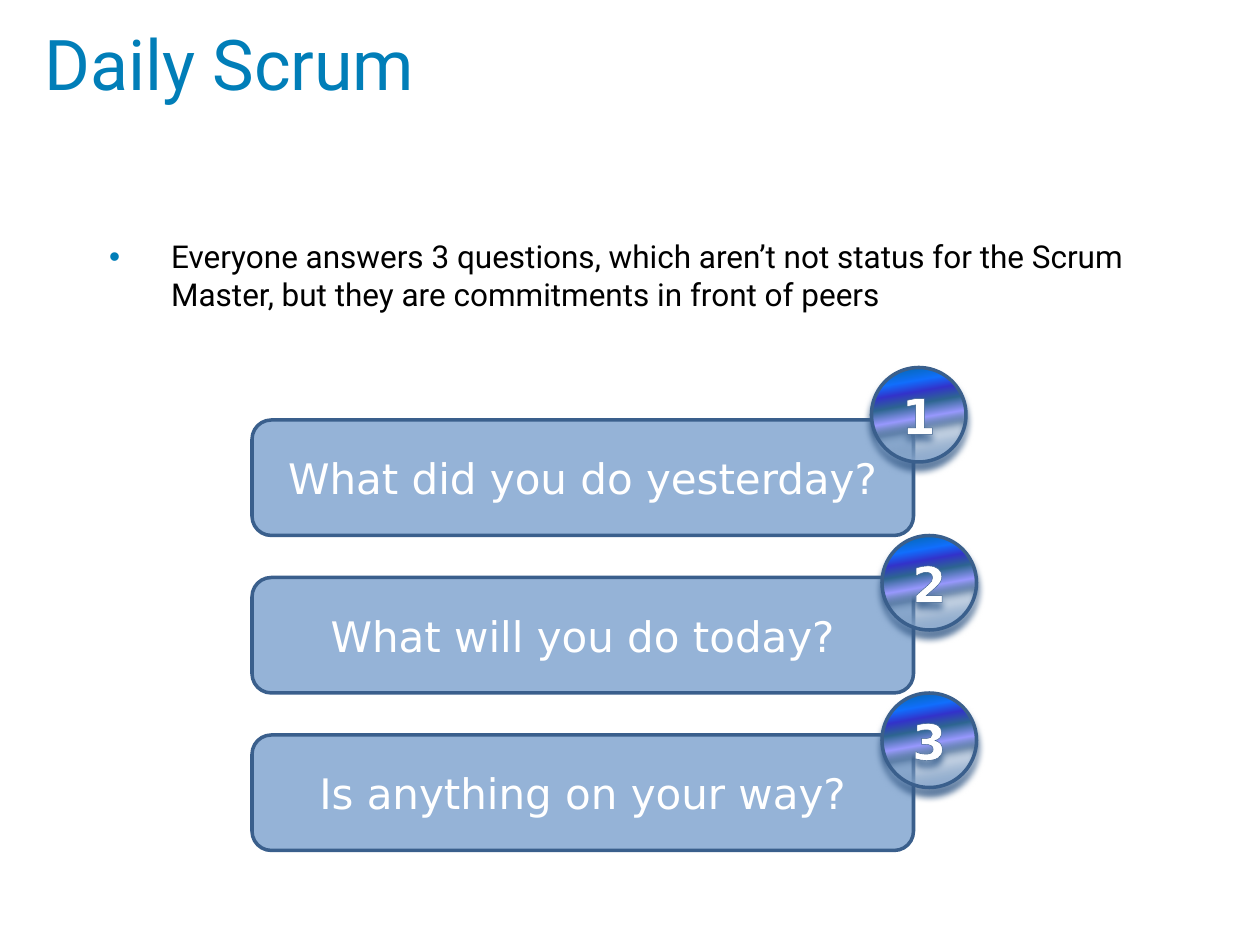
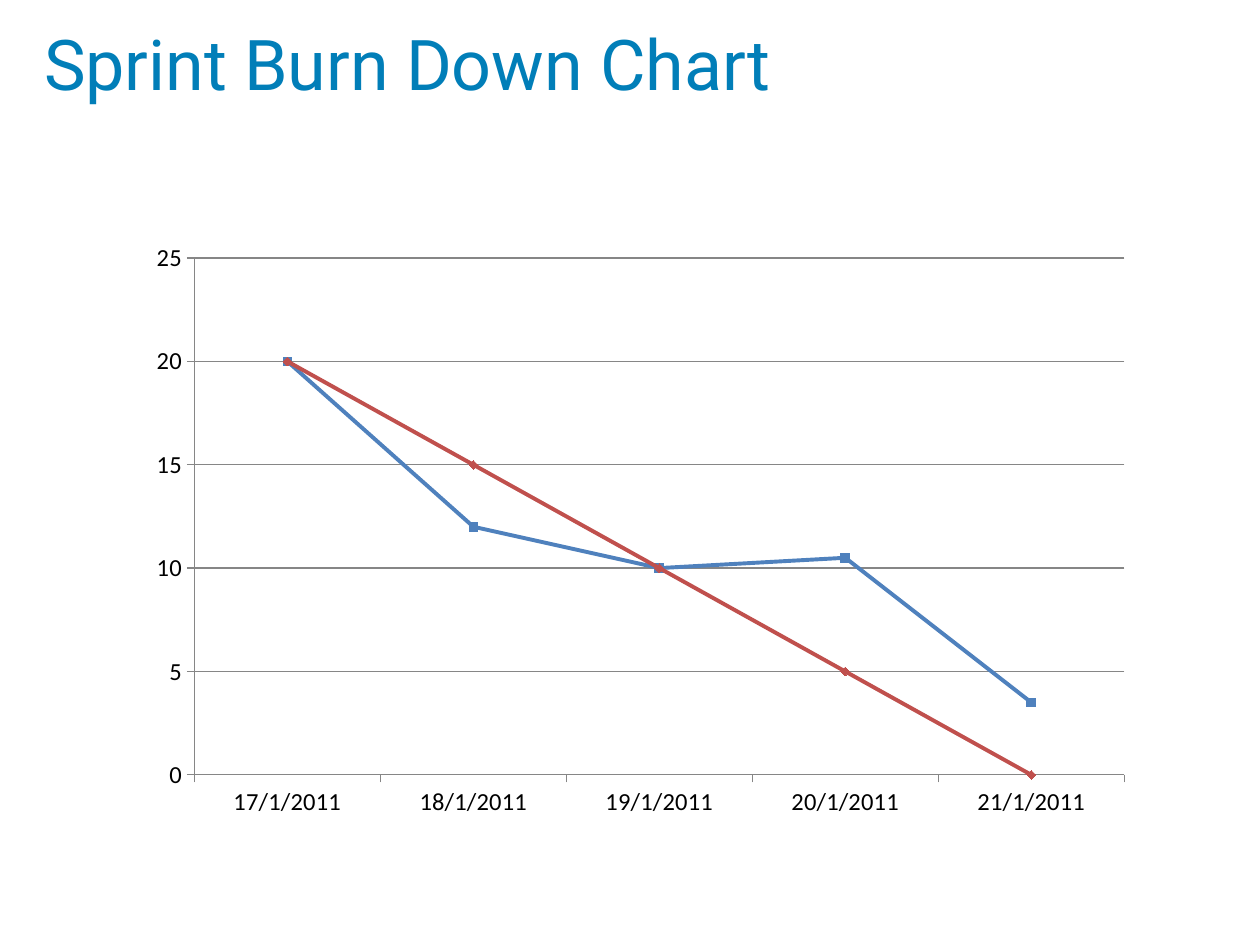
from dataclasses import dataclass

from lxml import etree
from pptx import Presentation
from pptx.chart.data import CategoryChartData
from pptx.dml.color import RGBColor
from pptx.enum.chart import XL_CHART_TYPE, XL_MARKER_STYLE, XL_TICK_MARK
from pptx.enum.shapes import MSO_SHAPE
from pptx.enum.text import MSO_ANCHOR, MSO_AUTO_SIZE, PP_ALIGN
from pptx.oxml import parse_xml
from pptx.oxml.ns import nsdecls, qn
from pptx.util import Pt

CARD, BADGE = MSO_SHAPE.FLOWCHART_ALTERNATE_PROCESS, MSO_SHAPE.OVAL
LEFT, CENTER = PP_ALIGN.LEFT, PP_ALIGN.CENTER
TOP, MIDDLE = MSO_ANCHOR.TOP, MSO_ANCHOR.MIDDLE
NO_AUTOFIT = MSO_AUTO_SIZE.NONE
LINE_MARKERS = XL_CHART_TYPE.LINE_MARKERS
SQUARE, DIAMOND = XL_MARKER_STYLE.SQUARE, XL_MARKER_STYLE.DIAMOND
TICK_OUTSIDE = XL_TICK_MARK.OUTSIDE

PX = 7620  # EMU, 120 px to the inch
TITLE_LAYOUT_AND_BODY, TITLE_ONLY = 1, 5


@dataclass(frozen=True)
class Theme:
    accent: str = "017EB8"
    ink: str = "000000"
    white: str = "FFFFFF"
    card: str = "95B3D7"
    outline: str = "3A5F8C"
    shadow: str = "385D8A"
    axis: str = "868686"
    text_font: str = "Roboto"
    shape_font: str = "DejaVu Sans"
    chart_font: str = "Calibri"
    title_size: int = 40
    body_size: int = 18
    card_size: int = 24
    badge_size: int = 28
    axis_size: int = 14
    outline_width: int = 2
    series_width: float = 2.25
    axis_width: float = 0.75


THEME = Theme()

# Content
SCRUM_TITLE = "Daily Scrum"
SCRUM_INTRO = (
    "Everyone answers 3 questions, which aren’t not status for the Scrum Master, "
    "but they are commitments in front of peers"
)
# question, left and top of its badge
QUESTIONS = [
    ("What did you do yesterday?", (830, 350)),
    ("What will you do today?", (840, 510)),
    ("Is anything on your way?", (840, 660)),
]
CHART_TITLE = "Sprint Burn Down Chart"
DAYS = [f"{day}/1/2011" for day in range(17, 22)]
SERIES = [
    ("Series 1", (20, 12, 10, 10.5, 3.5), "4F81BD", SQUARE),
    ("Series 2", (20, 15, 10, 5, 0), "C0504D", DIAMOND),
]

# position %, colour, opacity %
BADGE_STOPS = [
    (0, THEME.card, 100),
    (36, THEME.card, 14),
    (47, "9999FF", 100),
    (60, "2E6792", 100),
    (71, "3333CC", 100),
    (81, "1170FF", 100),
    (100, "006699", 100),
]
BADGE_ANGLE = 260

# Places: left, top, width, height in px
TITLE_BOX = (30, 0, 1080, 120)
INTRO_BOX = (60, 220, 1080, 110)
FIRST_CARD = (240, 400, 630, 110)
CARD_STEP = 150
BADGE_SIDE = 90
CHART_BOX = (130, 220, 960, 570)
BULLET_MARGIN, BULLET_INDENT = 91, -59


def emu(*lengths):
    return [length * PX for length in lengths]


def set_all(target, **values):
    for name, value in values.items():
        setattr(target, name, value)


def set_font(font, name, size, color, bold=False):
    set_all(font, name=name, size=Pt(size), bold=bold)
    font.color.rgb = RGBColor.from_string(color)


def place(shape, box):
    set_all(shape, **dict(zip(("left", "top", "width", "height"), emu(*box))))


def write(shape, text, anchor, align, **font):
    frame = shape.text_frame
    set_all(frame, word_wrap=True, auto_size=NO_AUTOFIT, vertical_anchor=anchor)
    para = frame.paragraphs[0]
    set_all(para, alignment=align, space_before=Pt(0))
    span = para.add_run()
    span.text = text
    set_font(span.font, **font)
    return para, span


def add_page(deck, layout, title):
    page = deck.slides.add_slide(deck.slide_layouts[layout])
    place(page.shapes.title, TITLE_BOX)
    write(page.shapes.title, title, MIDDLE, LEFT,
          name=THEME.text_font, size=THEME.title_size, color=THEME.accent)
    return page


def set_line(line, color, width):
    line.color.rgb = RGBColor.from_string(color)
    line.width = Pt(width)


def solid_xml(color):
    return f'<a:solidFill><a:srgbClr val="{color}"/></a:solidFill>'


def add_bullet(para, color):
    props = para._p.get_or_add_pPr()
    margin, indent = emu(BULLET_MARGIN, BULLET_INDENT)
    props.set("marL", str(margin))
    props.set("indent", str(indent))
    bullet_color = etree.SubElement(props, qn("a:buClr"))
    etree.SubElement(bullet_color, qn("a:srgbClr"), val=color)
    etree.SubElement(props, qn("a:buFont"), typeface="Arial")
    etree.SubElement(props, qn("a:buChar"), char="•")


def add_outlined_shape(page, kind, box):
    shape = page.shapes.add_shape(kind, *emu(*box))
    shape.shadow.inherit = False
    set_line(shape.line, THEME.outline, THEME.outline_width)
    return shape


def add_card(page, question, box):
    card = add_outlined_shape(page, CARD, box)
    card.fill.solid()
    card.fill.fore_color.rgb = RGBColor.from_string(THEME.card)
    write(card, question, MIDDLE, CENTER,
          name=THEME.shape_font, size=THEME.card_size, color=THEME.white)


def add_badge(page, number, corner):
    """Add a glossy numbered circle with a drop shadow."""
    badge = add_outlined_shape(page, BADGE, (*corner, BADGE_SIDE, BADGE_SIDE))
    stops = "".join(
        f'<a:gs pos="{position * 1000}"><a:srgbClr val="{color}">'
        f'<a:alpha val="{opacity * 1000}"/></a:srgbClr></a:gs>'
        for position, color, opacity in BADGE_STOPS
    )
    gradient = parse_xml(
        f'<a:gradFill {nsdecls("a")} rotWithShape="1"><a:gsLst>{stops}</a:gsLst>'
        f'<a:lin ang="{BADGE_ANGLE * 60000}" scaled="0"/></a:gradFill>'
    )
    shadow = parse_xml(
        f'<a:outerShdw {nsdecls("a")} blurRad="{Pt(4)}" dist="{Pt(4)}" '
        f'dir="5400000" rotWithShape="0"><a:srgbClr val="{THEME.shadow}"/></a:outerShdw>'
    )
    props = badge._element.spPr
    props.find(qn("a:prstGeom")).addnext(gradient)
    props.find(qn("a:effectLst")).append(shadow)
    _, span = write(badge, str(number), MIDDLE, CENTER, name=THEME.shape_font,
                    size=THEME.badge_size, color=THEME.white, bold=True)
    text_outline = parse_xml(
        f'<a:ln {nsdecls("a")} w="{Pt(0.75)}">{solid_xml(THEME.outline)}</a:ln>'
    )
    span._r.get_or_add_rPr().insert(0, text_outline)


def build_scrum_page(deck):
    page = add_page(deck, TITLE_LAYOUT_AND_BODY, SCRUM_TITLE)
    intro = page.placeholders[1]
    place(intro, INTRO_BOX)
    para, _ = write(intro, SCRUM_INTRO, TOP, LEFT,
                    name=THEME.text_font, size=THEME.body_size, color=THEME.ink)
    add_bullet(para, THEME.accent)
    left, top, width, height = FIRST_CARD
    for row, (question, _) in enumerate(QUESTIONS):
        add_card(page, question, (left, top + row * CARD_STEP, width, height))
    for number, (_, corner) in enumerate(QUESTIONS, 1):
        add_badge(page, number, corner)


def build_chart_page(deck):
    page = add_page(deck, TITLE_ONLY, CHART_TITLE)
    data = CategoryChartData()
    data.categories = DAYS
    for name, values, _, _ in SERIES:
        data.add_series(name, values)
    chart = page.shapes.add_chart(LINE_MARKERS, *emu(*CHART_BOX), data).chart
    set_all(chart, has_legend=False, has_title=False)
    set_font(chart.font, THEME.chart_font, 10, THEME.ink)
    chart.plots[0].vary_by_categories = False

    for axis in (chart.category_axis, chart.value_axis):
        axis.major_tick_mark = TICK_OUTSIDE
        set_font(axis.tick_labels.font, THEME.chart_font, THEME.axis_size, THEME.ink)
        set_line(axis.format.line, THEME.axis, THEME.axis_width)
    set_all(chart.value_axis, minimum_scale=0, maximum_scale=25, major_unit=5,
            has_major_gridlines=True)
    set_line(chart.value_axis.major_gridlines.format.line, THEME.axis, THEME.axis_width)

    for series, (_, _, color, marker_style) in zip(chart.plots[0].series, SERIES):
        series.smooth = False
        set_line(series.format.line, color, THEME.series_width)
        marker = series.marker
        set_all(marker, style=marker_style, size=5)
        marker.format.fill.solid()
        marker.format.fill.fore_color.rgb = RGBColor.from_string(color)
        set_line(marker.format.line, color, THEME.axis_width)


def main():
    deck = Presentation()
    deck.slide_width, deck.slide_height = emu(1200, 900)
    build_scrum_page(deck)
    build_chart_page(deck)
    deck.save("out.pptx")


if __name__ == "__main__":
    main()
